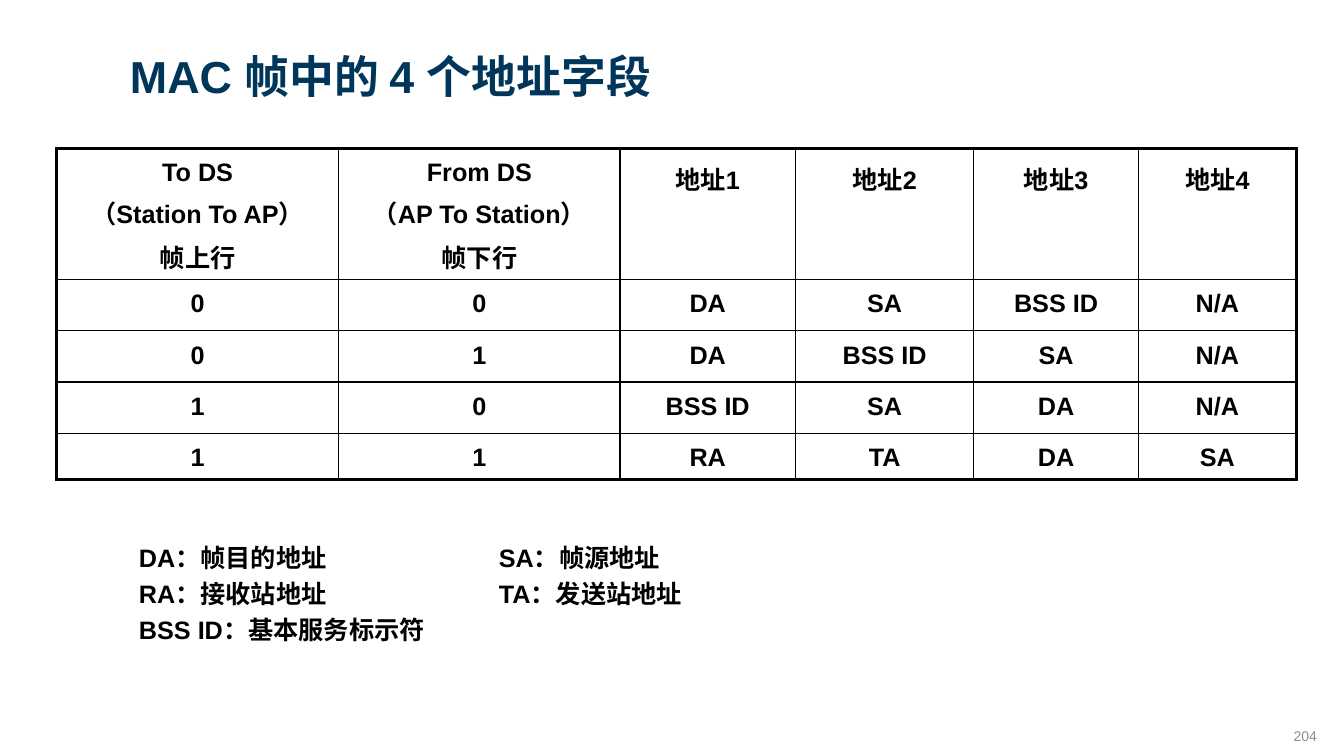
from lxml import etree
from pptx import Presentation, util as u
from pptx.dml.color import RGBColor
from pptx.enum import text
from pptx.oxml import ns

BLACK = "000000"
THIN, THICK = 1, 2.25
COLUMN_WIDTHS = [2.8, 2.79, 1.74, 1.77, 1.63, 1.57]
ROW_HEIGHTS = [1.3, 0.51, 0.51, 0.51, 0.44]
ADDRESS_ROWS = [
    ["To DS\n（Station To AP）\n帧上行", "From DS\n（AP To Station）\n帧下行",
     "地址1", "地址2", "地址3", "地址4"],
    ["0", "0", "DA", "SA", "BSS ID", "N/A"],
    ["0", "1", "DA", "BSS ID", "SA", "N/A"],
    ["1", "0", "BSS ID", "SA", "DA", "N/A"],
    ["1", "1", "RA", "TA", "DA", "SA"],
]
LEGEND = "DA：帧目的地址\tSA：帧源地址\nRA：接收站地址\tTA：发送站地址\nBSS ID：基本服务标示符"


def color(value):
    return RGBColor.from_string(value)


class SlideBuilder:
    def __init__(self, slide):
        self.slide = slide
        self.font = {"name": "Arial", "size": u.Pt(18), "bold": True}

    def fill_text(self, frame, content, fill=BLACK, align=text.PP_ALIGN.LEFT,
                  spacing=1.2, tab=None, **font):
        for index, line in enumerate(content.split("\n")):
            paragraph = frame.paragraphs[0] if index == 0 else frame.add_paragraph()
            paragraph.text = line
            paragraph.alignment = align
            paragraph.line_spacing = spacing
            if tab:
                tabs = etree.SubElement(paragraph._p.get_or_add_pPr(), ns.qn("a:tabLst"))
                etree.SubElement(tabs, ns.qn("a:tab"), pos=str(u.Inches(tab)), algn="l")
            for name, value in {**self.font, **font}.items():
                setattr(paragraph.font, name, value)
            paragraph.font.color.rgb = color(fill)

    def textbox(self, box, content, anchor=text.MSO_ANCHOR.TOP, **style):
        shape = self.slide.shapes.add_textbox(*map(u.Inches, box))
        frame = shape.text_frame
        frame.word_wrap = True
        frame.vertical_anchor = anchor
        self.fill_text(frame, content, **style)

    def borders(self, cell, widths):
        properties = cell._tc.get_or_add_tcPr()
        for index, (side, width) in enumerate(widths.items()):
            line = etree.Element(ns.qn(f"a:ln{side}"), w=str(u.Pt(width)))
            fill = etree.SubElement(line, ns.qn("a:solidFill"))
            etree.SubElement(fill, ns.qn("a:srgbClr"), val=BLACK)
            properties.insert(index, line)

    def table(self, left, top, widths, heights, rows):
        box = (left, top, sum(widths), sum(heights))
        table = self.slide.shapes.add_table(
            len(rows), len(widths), *map(u.Inches, box)).table
        table.first_row = table.horz_banding = False
        for column, width in zip(table.columns, widths):
            column.width = u.Inches(width)
        for row, height in zip(table.rows, heights):
            row.height = u.Inches(height)
        last_row, last_column = len(rows) - 1, len(widths) - 1
        for r, row in enumerate(rows):
            for c, content in enumerate(row):
                cell = table.cell(r, c)
                cell.fill.background()
                self.fill_text(cell.text_frame, content, align=text.PP_ALIGN.CENTER)
                # Thick outer frame, thin inner grid
                outer = {"L": c == 0, "R": c == last_column,
                         "T": r == 0, "B": r == last_row}
                self.borders(cell, {side: THICK if edge else THIN
                                    for side, edge in outer.items()})


def main():
    presentation = Presentation()
    presentation.slide_width = u.Inches(13.33)
    presentation.slide_height = u.Inches(7.5)
    builder = SlideBuilder(presentation.slides.add_slide(presentation.slide_layouts[6]))

    # Title
    builder.textbox((1.19, 0.33, 9.58, 1.25), "MAC 帧中的 4 个地址字段",
                    fill="003659", size=u.Pt(32))
    # Address table
    builder.table(0.56, 1.47, COLUMN_WIDTHS, ROW_HEIGHTS, ADDRESS_ROWS)
    # Abbreviations
    builder.textbox((1.28, 5.27, 8.82, 1.16), LEGEND, tab=3.57)
    # Page number
    builder.textbox((10.05, 7.19, 3.11, 0.23), "204", anchor=text.MSO_ANCHOR.MIDDLE,
                    fill="8C8C8C", align=text.PP_ALIGN.RIGHT, spacing=1.0,
                    size=u.Pt(10), bold=False)

    presentation.save("out.pptx")


if __name__ == "__main__":
    main()
